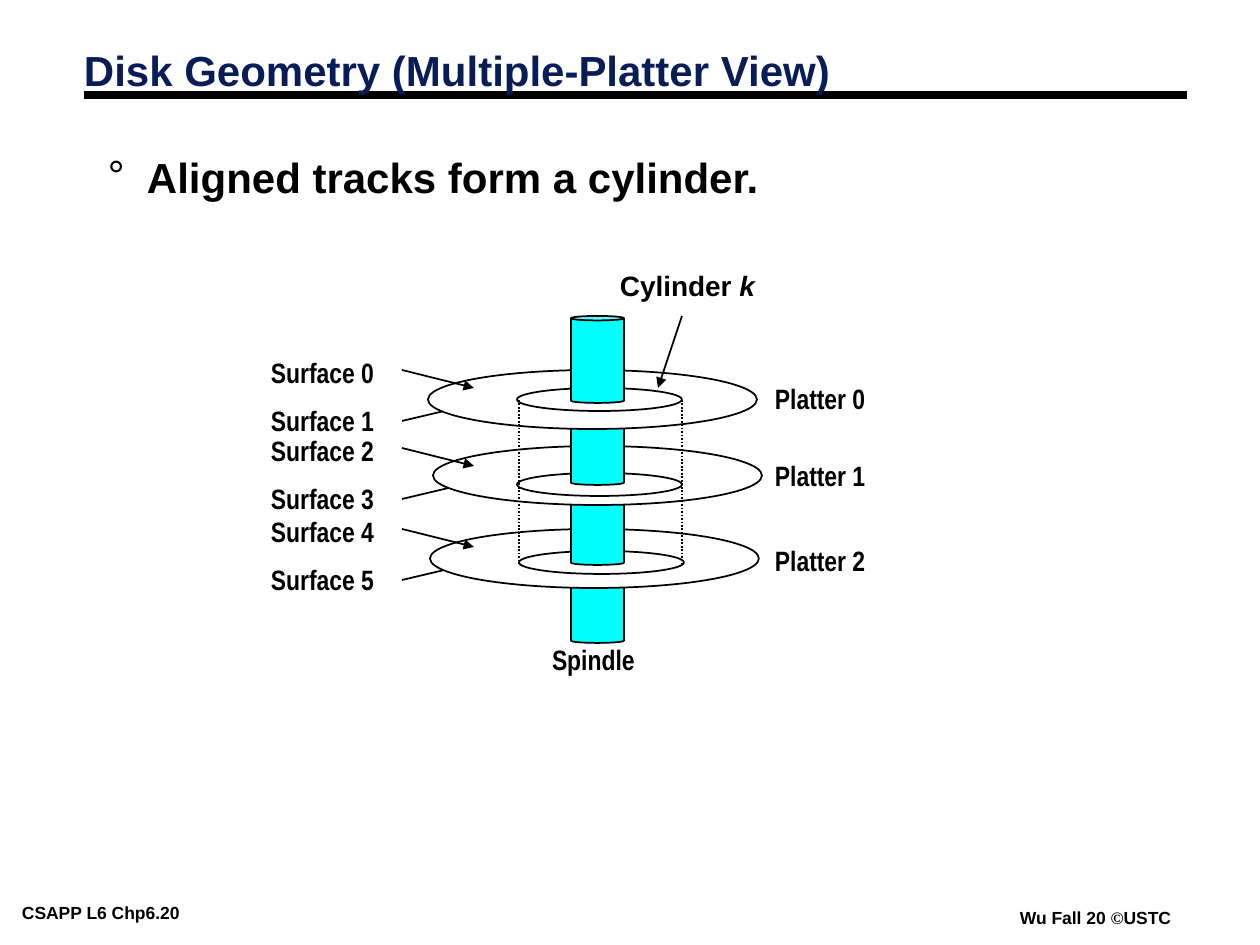
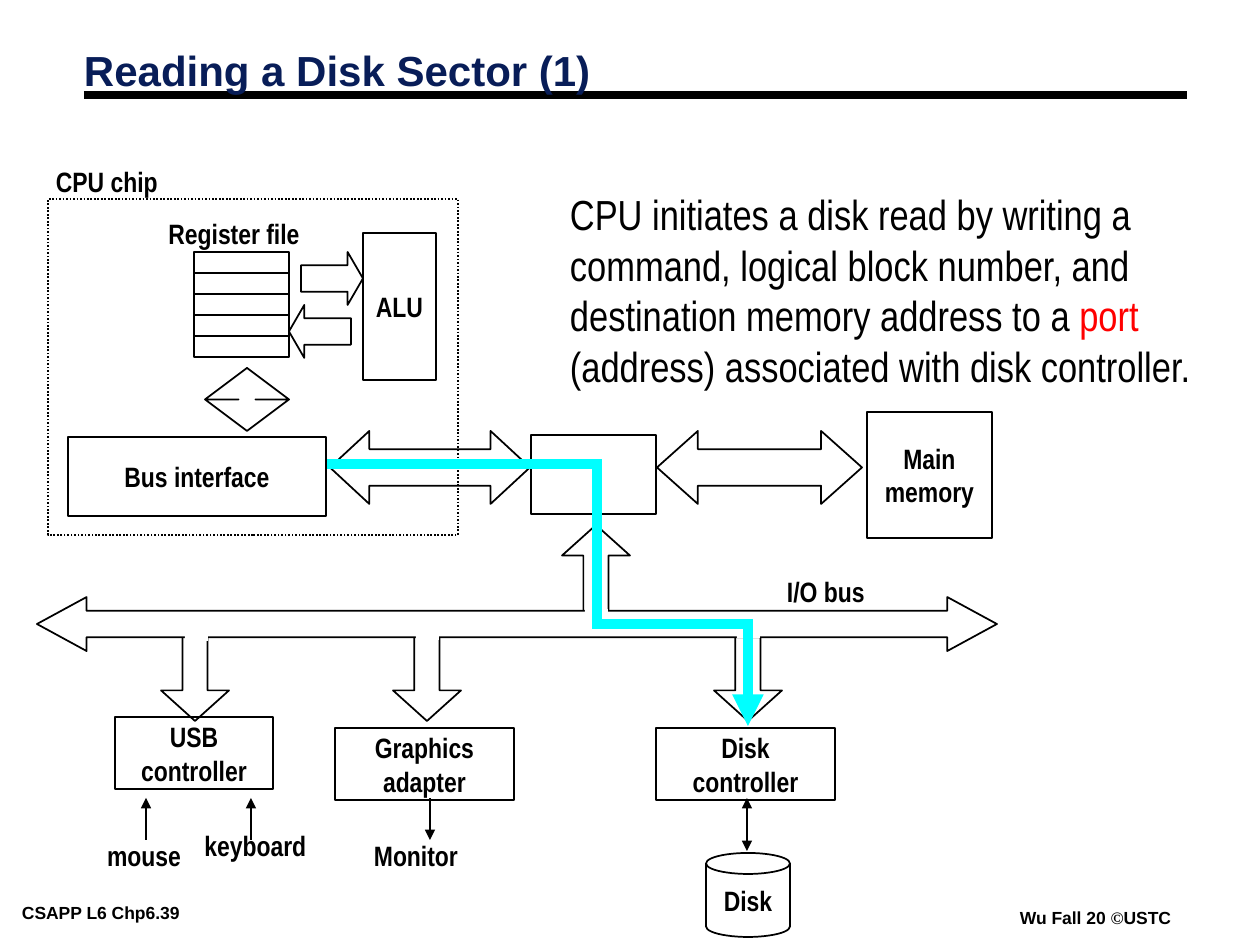
from dataclasses import dataclass

from lxml import etree
from pptx import Presentation
from pptx.dml.color import RGBColor
from pptx.enum.dml import MSO_LINE
from pptx.enum.shapes import MSO_CONNECTOR, MSO_SHAPE
from pptx.enum.text import MSO_ANCHOR, MSO_AUTO_SIZE, PP_ALIGN
from pptx.oxml.ns import qn
from pptx.util import Pt

STRAIGHT = MSO_CONNECTOR.STRAIGHT
DOTTED = MSO_LINE.ROUND_DOT
RECTANGLE, ELLIPSE, CAN = MSO_SHAPE.RECTANGLE, MSO_SHAPE.OVAL, MSO_SHAPE.CAN
UP_ARROW, DOWN_ARROW = MSO_SHAPE.UP_ARROW, MSO_SHAPE.DOWN_ARROW
LEFT_ARROW, RIGHT_ARROW = MSO_SHAPE.LEFT_ARROW, MSO_SHAPE.RIGHT_ARROW
TWO_WAY_ARROW, UP_DOWN_ARROW = MSO_SHAPE.LEFT_RIGHT_ARROW, MSO_SHAPE.UP_DOWN_ARROW
TOP, MIDDLE = MSO_ANCHOR.TOP, MSO_ANCHOR.MIDDLE
LEFT, CENTER = PP_ALIGN.LEFT, PP_ALIGN.CENTER
NO_AUTOFIT = MSO_AUTO_SIZE.NONE

PX_PER_INCH = 126
EMU_PER_PX = 914400 / PX_PER_INCH
SLIDE_WIDTH, SLIDE_HEIGHT = 1260, 945
LABEL_HEIGHT = 47
TITLE_ONLY, TITLE_AND_BODY = 5, 1


@dataclass(frozen=True)
class Theme:
    ink: str = "000000"
    paper: str = "FFFFFF"
    title: str = "081D58"
    cyan: str = "00FFFF"
    alert: str = "FF0000"
    sans: str = "Arial"
    narrow: str = "Arial Narrow"
    serif: str = "Times New Roman"
    heading_size: int = 24
    label_size: int = 16
    footer_size: int = 10
    outline: float = 1
    path_line: float = 6
    rule_line: float = 4.5


THEME = Theme()


def px(length):
    return round(length * EMU_PER_PX)


def rgb(color):
    return RGBColor.from_string(color)


def write_text(frame, paragraphs, font=THEME.narrow, size=THEME.label_size, color=THEME.ink,
               bold=True, align=LEFT, anchor=MIDDLE, wrap=False, insets=(13, 6),
               line_spacing=None, bullet=None, hanging=0):
    frame.auto_size = NO_AUTOFIT
    frame.word_wrap = wrap
    frame.vertical_anchor = anchor
    frame.margin_left = frame.margin_right = px(insets[0])
    frame.margin_top = frame.margin_bottom = px(insets[1])
    for index, runs in enumerate(paragraphs):
        paragraph = frame.add_paragraph() if index else frame.paragraphs[0]
        paragraph.alignment = align
        paragraph.space_before = Pt(0)
        if line_spacing:
            paragraph.line_spacing = line_spacing
        if bullet:
            add_bullet(paragraph, bullet, hanging)
        for run_format in [runs] if isinstance(runs, str) else runs:
            text, changes = (run_format, {}) if isinstance(run_format, str) else run_format
            run = paragraph.add_run()
            run.text = text
            run.font.name = changes.get("font", font)
            run.font.size = Pt(size)
            run.font.bold = bold
            run.font.italic = changes.get("italic", False)
            run.font.color.rgb = rgb(changes.get("color", color))


def add_bullet(paragraph, character, hanging):
    properties = paragraph._p.get_or_add_pPr()
    properties.set("marL", str(px(hanging)))
    properties.set("indent", str(-px(hanging)))
    color = etree.SubElement(properties, qn("a:buClr"))
    etree.SubElement(color, qn("a:srgbClr"), val=THEME.ink)
    etree.SubElement(properties, qn("a:buFont"), typeface=THEME.sans)
    etree.SubElement(properties, qn("a:buChar"), char=character)


def place(shape, left, top, width, height):
    shape.left, shape.top = px(left), px(top)
    shape.width, shape.height = px(width), px(height)


def add_label(slide, text, left, top, width, height=LABEL_HEIGHT, **text_format):
    box = slide.shapes.add_textbox(px(left), px(top), px(width), px(height))
    write_text(box.text_frame, [text], **text_format)


def add_figure(slide, kind, left, top, width, height, fill=None, outlined=True,
               dash=None, adjustments=(), lines=()):
    shape = slide.shapes.add_shape(kind, px(left), px(top), px(width), px(height))
    shape.shadow.inherit = False
    for index, value in enumerate(adjustments):
        shape.adjustments[index] = value
    if fill:
        shape.fill.solid()
        shape.fill.fore_color.rgb = rgb(fill)
    else:
        shape.fill.background()
    if outlined:
        shape.line.color.rgb = rgb(THEME.ink)
        shape.line.width = Pt(THEME.outline)
        if dash:
            shape.line.dash_style = dash
    else:
        shape.line.fill.background()
    if lines:
        write_text(shape.text_frame, lines, align=CENTER)


def add_line(slide, start, end, color=THEME.ink, width=THEME.outline, dash=None,
             head=False, tail=False):
    connector = slide.shapes.add_connector(STRAIGHT, *map(px, start + end))
    connector.line.color.rgb = rgb(color)
    connector.line.width = Pt(width)
    if dash:
        connector.line.dash_style = dash
    outline = connector.line._get_or_add_ln()
    for tag, wanted in (("a:headEnd", head), ("a:tailEnd", tail)):
        if wanted:
            etree.SubElement(outline, qn(tag), type="triangle")
    etree.SubElement(connector._element.spPr, qn("a:effectLst"))


def start_slide(presentation, layout, title, number):
    slide = presentation.slides.add_slide(presentation.slide_layouts[layout])
    footer = dict(font=THEME.sans, size=THEME.footer_size, anchor=TOP, insets=(9, 4))
    add_label(slide, f"CSAPP L6 Chp6.{number}", 13, 898, 246, 28, wrap=True, **footer)
    add_label(slide, ["Wu Fall 20 ", ("©", {"font": THEME.serif}), "USTC"],
              1011, 903, 174, 28, **footer)
    add_line(slide, (84, 95), (1187, 95), width=THEME.rule_line)
    place(slide.shapes.title, 71, 45, 1046, 57)
    write_text(slide.shapes.title.text_frame, [title], font=THEME.sans,
               size=THEME.heading_size, color=THEME.title, wrap=True, line_spacing=0.87)
    slide.shapes._spTree.append(slide.shapes.title._element)
    return slide


def add_spindle_part(slide, top):
    add_figure(slide, CAN, 571, top, 53, 87, fill=THEME.cyan, adjustments=[0.085])


def add_platter(slide, platter, track):
    add_figure(slide, ELLIPSE, *platter, 329, 59, fill=THEME.paper)
    add_figure(slide, ELLIPSE, *track, 165, 23)


def build_geometry_slide(presentation):
    slide = start_slide(presentation, TITLE_AND_BODY,
                        "Disk Geometry (Multiple-Platter View)", 20)
    body = slide.placeholders[1]
    place(body, 95, 157, 1081, 305)
    write_text(body.text_frame, ["Aligned tracks form a cylinder."], font=THEME.sans,
               size=THEME.heading_size, anchor=TOP, wrap=True, line_spacing=0.75,
               bullet="°", hanging=39)

    surface_tops = (349, 427, 508)
    for top in surface_tops:
        add_line(slide, (402, top + 72), (474, top + 55), tail=True)

    add_spindle_part(slide, 556)
    for platter, track, spindle_top in (
        ((430, 529), (519, 551), 478),
        ((433, 446), (517, 473), 398),
        ((428, 370), (517, 388), 316),
    ):
        add_platter(slide, platter, track)
        add_spindle_part(slide, spindle_top)

    for index, (top, platter_label_top) in enumerate(zip(surface_tops, (375, 452, 537))):
        add_line(slide, (402, top + 21), (474, top + 39), tail=True)
        add_label(slide, f"Surface {2 * index}", 258, top, 129)
        add_label(slide, f"Surface {2 * index + 1}", 258, top + 48, 129)
        add_label(slide, f"Platter {index}", 762, platter_label_top, 115)

    for side in (519, 682):
        add_line(slide, (side, 400), (side, 564), dash=DOTTED)
    add_label(slide, ["Cylinder ", ("k", {"italic": True})], 607, 262, 160, font=THEME.sans)
    add_line(slide, (682, 316), (658, 388), tail=True)
    add_label(slide, "Spindle", 539, 636, 107)


def add_cpu_chip(slide):
    for row in range(5):
        add_figure(slide, RECTANGLE, 194, 252 + 21 * row, 95, 21)
    add_figure(slide, RIGHT_ARROW, 301, 252, 62, 53, adjustments=[0.5, 0.29])
    add_figure(slide, LEFT_ARROW, 289, 305, 62, 53, adjustments=[0.5, 0.29])
    add_figure(slide, RECTANGLE, 363, 233, 73, 147, lines=["ALU"])
    add_label(slide, "Register file", 156, 210, 156, align=CENTER)
    add_figure(slide, UP_DOWN_ARROW, 205, 368, 84, 63, adjustments=[0.5, 0.2])
    add_figure(slide, RECTANGLE, 48, 199, 410, 336, dash=DOTTED)
    add_label(slide, "CPU chip", 43, 158, 127)


def add_devices(slide):
    branch = [0.37, 0.45]
    add_figure(slide, UP_ARROW, 562, 525, 68, 95, adjustments=branch)
    for arrow_left, left, top, width, lines in (
        (714, 656, 728, 179, ["Disk", "controller"]),
        (393, 335, 728, 179, ["Graphics", "adapter"]),
        (161, 115, 717, 158, ["USB", "controller"]),
    ):
        add_figure(slide, DOWN_ARROW, arrow_left, 626, 68, 95, adjustments=branch)
        add_figure(slide, RECTANGLE, left, top, width, 72, lines=lines)

    for center, bottom, head, tail in (
        (146, 840, True, False),
        (251, 840, True, False),
        (430, 840, False, True),
        (747, 851, True, True),
    ):
        add_line(slide, (center, 798), (center, bottom), head=head, tail=tail)
    for text, left, top, width in (
        ("mouse", 95, 832, 98),
        ("keyboard", 192, 822, 127),
        ("Monitor", 362, 832, 108),
    ):
        add_label(slide, text, left, top, width, align=CENTER)
    add_figure(slide, CAN, 706, 853, 84, 84, adjustments=[0.25], lines=["Disk"])


def add_io_bus(slide):
    add_figure(slide, TWO_WAY_ARROW, 37, 597, 960, 54, fill=THEME.paper,
               adjustments=[0.49, 0.92])
    for left, top in ((185, 620), (416, 619), (737, 617), (585, 609)):
        add_figure(slide, RECTANGLE, left, top, 23, 21, fill=THEME.paper, outlined=False)
    add_label(slide, "I/O bus", 774, 568, 102)


def build_reading_slide(presentation):
    slide = start_slide(presentation, TITLE_ONLY, "Reading a Disk Sector (1)", 39)
    add_figure(slide, RECTANGLE, 867, 412, 125, 126, lines=["Main", "memory"])
    add_figure(slide, TWO_WAY_ARROW, 657, 431, 205, 73, adjustments=[0.5, 0.56])
    add_figure(slide, RECTANGLE, 531, 435, 125, 79)
    add_figure(slide, TWO_WAY_ARROW, 330, 431, 200, 73, adjustments=[0.5, 0.54])
    add_cpu_chip(slide)
    add_devices(slide)
    add_io_bus(slide)

    for start, end, tail in (
        ((325, 464), (602, 464), False),
        ((597, 464), (597, 620), False),
        ((592, 624), (747, 624), False),
        ((748, 619), (748, 726), True),
    ):
        add_line(slide, start, end, color=THEME.cyan, width=THEME.path_line, tail=tail)
    add_figure(slide, RECTANGLE, 68, 437, 258, 79, lines=["Bus interface"])
    add_label(slide, ["CPU initiates a disk read by writing a command, logical block number, "
                      "and destination memory address to a ",
                      ("port ", {"color": THEME.alert}),
                      "(address) associated with disk controller."],
              557, 183, 672, 214, size=THEME.heading_size, bold=False, anchor=TOP, wrap=True)


def main():
    presentation = Presentation()
    presentation.slide_width = px(SLIDE_WIDTH)
    presentation.slide_height = px(SLIDE_HEIGHT)
    build_geometry_slide(presentation)
    build_reading_slide(presentation)
    presentation.save("out.pptx")


if __name__ == "__main__":
    main()
